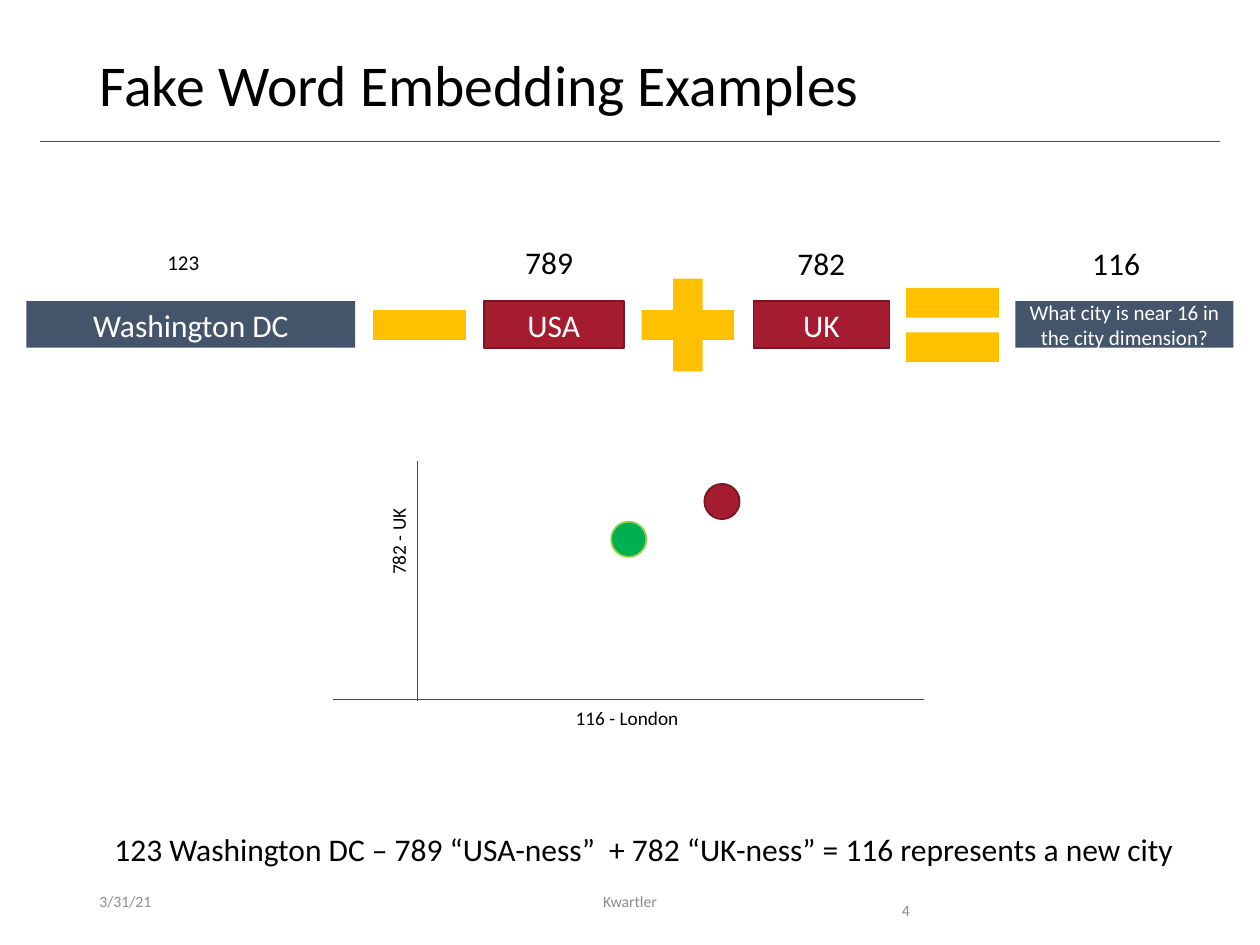
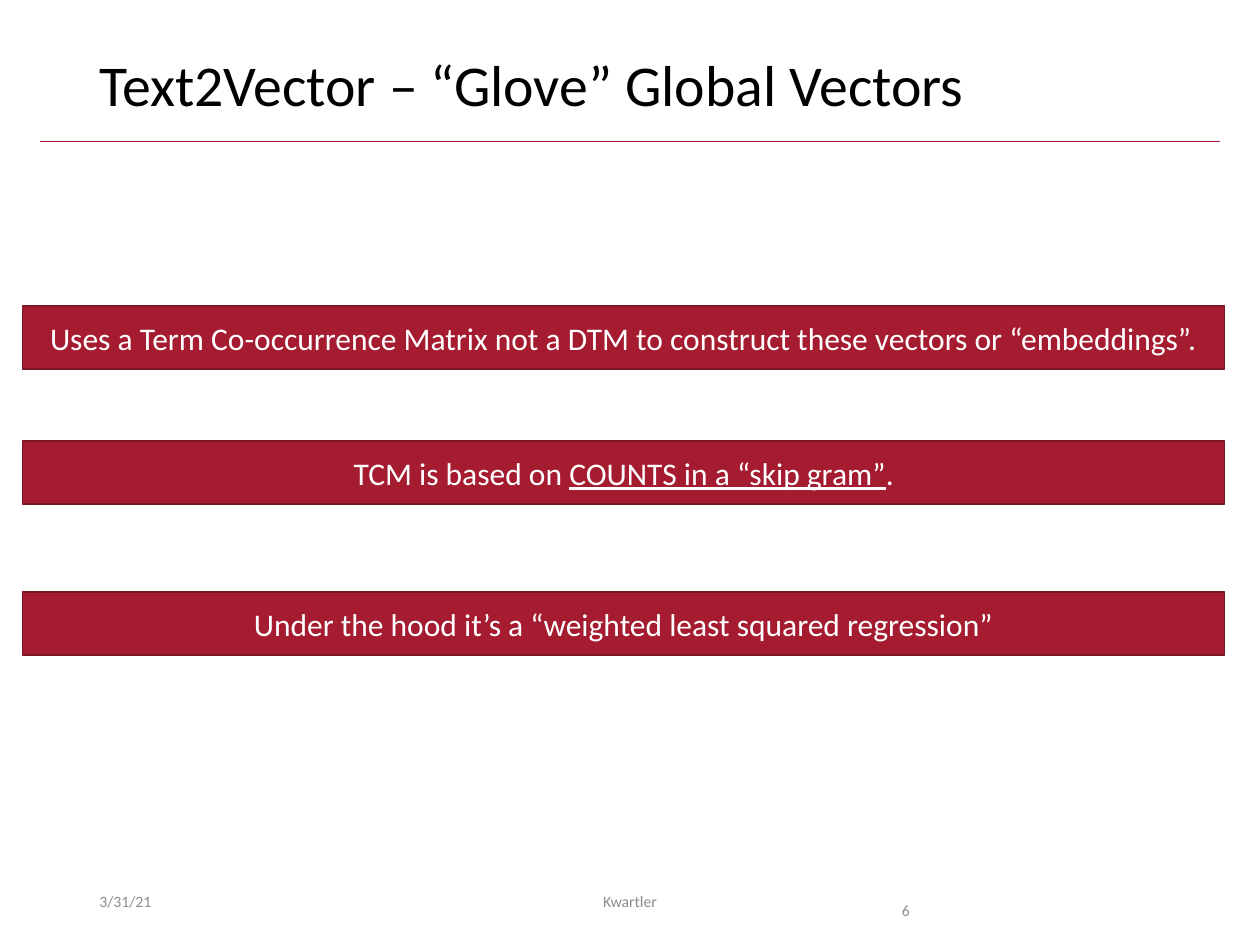
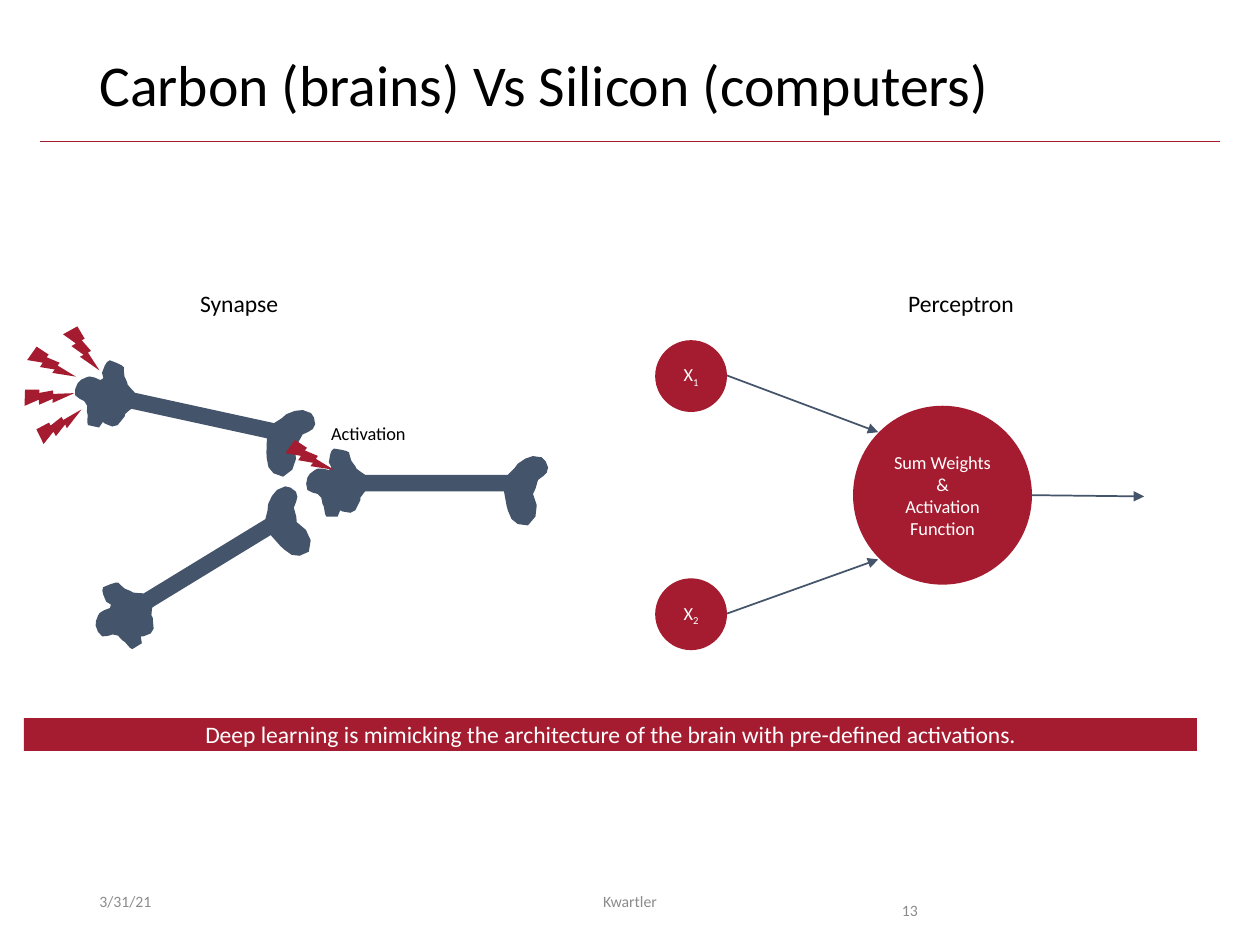
from dataclasses import dataclass
from typing import Any, NamedTuple

from lxml import etree
from pptx import Presentation
from pptx import util as u
from pptx.dml.color import RGBColor
from pptx.enum import shapes, text
from pptx.oxml.ns import qn

# The slide is a grid of 100 columns by 75 rows with square cells.
WIDTH, HEIGHT = u.Inches(10), u.Inches(7.5)
COLS = 100
CELL = WIDTH / COLS
FONT = "Calibri"
HUES = {
    "red": "A51C30", "edge": "7A1524", "slate": "44546A", "gold": "FFC000",
    "green": "00B050", "lime": "92D050", "grey": "8C8C8C",
    "black": "000000", "white": "FFFFFF",
}
KIND = shapes.MSO_SHAPE
MID, TOP = text.MSO_ANCHOR.MIDDLE, text.MSO_ANCHOR.TOP
LEFT, CENTER = text.PP_ALIGN.LEFT, text.PP_ALIGN.CENTER


class Run(NamedTuple):
    text: str
    under: bool = False
    drop: bool = False


@dataclass
class Label:
    x: float
    y: float
    w: float
    h: float
    words: str
    size: float = 18
    hue: str = "black"
    align: Any = LEFT
    anchor: Any = TOP
    space: float = 1
    wrap: bool = False
    turn: float = 0


@dataclass
class Block:
    x: float
    y: float
    w: float
    h: float
    words: str | tuple[Run, ...] = ""
    fill: str = "red"
    edge: str = ""
    size: float = 18
    kind: Any = KIND.RECTANGLE
    turn: float = 0
    pad: tuple[float, float] = (1, 0.5)


@dataclass
class Line:
    x1: float
    y1: float
    x2: float
    y2: float
    hue: str = "red"
    width: float = 0.5
    arrow: bool = False


def cell(*spans: float) -> list[int]:
    return [round(span * CELL) for span in spans]


def color(name: str) -> RGBColor:
    return RGBColor.from_string(HUES[name])


def write(frame, words, size, hue, align, anchor, space=1, wrap=True) -> None:
    """Fill a text frame; words are plain lines or the runs of one line."""
    frame.word_wrap = wrap
    frame.vertical_anchor = anchor
    lines = [[Run(line)] for line in words.split("\n")] if isinstance(words, str) else [words]
    for i, line in enumerate(lines):
        para = frame.add_paragraph() if i else frame.paragraphs[0]
        para.alignment, para.line_spacing = align, space
        for part in line:
            run = para.add_run()
            run.text = part.text
            look = {"name": FONT, "size": u.Pt(size), "underline": part.under or None}
            for key, value in look.items():
                setattr(run.font, key, value)
            run.font.color.rgb = color(hue)
            if part.drop:
                run.font._element.set("baseline", "-25000")


def paint(shape, fill: str, edge: str = "", turn: float = 0) -> None:
    shape.shadow.inherit = False
    shape.rotation = turn
    shape.fill.solid()
    shape.fill.fore_color.rgb = color(fill)
    if edge:
        shape.line.color.rgb = color(edge)
        shape.line.width = u.Pt(1)
    else:
        shape.line.fill.background()


def label(slide, it: Label) -> None:
    box = slide.shapes.add_textbox(*cell(it.x, it.y, it.w, it.h))
    box.rotation = it.turn
    write(box.text_frame, it.words, it.size, it.hue, it.align, it.anchor, it.space, it.wrap)


def block(slide, it: Block) -> None:
    shape = slide.shapes.add_shape(it.kind, *cell(it.x, it.y, it.w, it.h))
    paint(shape, it.fill, it.edge, it.turn)
    if it.words:
        frame = shape.text_frame
        side, rim = cell(*it.pad)
        pads = {"margin_left": side, "margin_right": side, "margin_top": rim, "margin_bottom": rim}
        for key, value in pads.items():
            setattr(frame, key, value)
        write(frame, it.words, it.size, "white", CENTER, MID)


def line(slide, it: Line) -> None:
    link = slide.shapes.add_connector(
        shapes.MSO_CONNECTOR.STRAIGHT, *cell(it.x1, it.y1, it.x2, it.y2))
    link.line.color.rgb = color(it.hue)
    link.line.width = u.Pt(it.width)
    if it.arrow:
        etree.SubElement(link.line._get_or_add_ln(), qn("a:tailEnd"), type="triangle")
    etree.SubElement(link._element.spPr, qn("a:effectLst"))


DRAW = {Label: label, Block: block, Line: line}


def draw(slide, *items: Label | Block | Line) -> None:
    for it in items:
        DRAW[type(it)](slide, it)


def page(deck, title: str, number: int):
    """Add a slide with the shared title, rule and footer."""
    slide = deck.slides.add_slide(deck.slide_layouts[6])
    foot = {"size": 9, "hue": "grey", "wrap": True}
    draw(
        slide,
        Line(3.2, 11.2, 96.8, 11.2),
        Label(6.9, 69.5, 22.5, 4, "3/31/21", anchor=MID, **foot),
        Label(6.9, 4, 86.2, 6.5, title, 33, space=0.9, wrap=True),
        Label(70.6, 69.5, 9.4, 4, str(number), space=2, **foot),
        Label(33.1, 69.5, 33.8, 4, "Kwartler", align=CENTER, anchor=MID, **foot),
    )
    return slide


def words(deck) -> None:
    slide = page(deck, "Fake Word Embedding Examples", 4)
    row = {"y": 23.9, "h": 3.7}
    draw(
        slide,
        Block(x=2.1, w=26.1, words="Washington DC", fill="slate", **row),
        Block(x=38.4, w=11.1, words="USA", edge="edge", **row),
        Block(x=59.8, w=10.8, words="UK", edge="edge", **row),
        Block(x=80.6, w=17.3, words="What city is near 16 in the city dimension?",
              fill="slate", size=12, **row),
    )
    signs = ((28.3, KIND.MATH_MINUS), (49.6, KIND.MATH_PLUS), (70.6, KIND.MATH_EQUAL))
    for x, kind in signs:
        block(slide, Block(x, 20.8, 10, 10, fill="gold", kind=kind))
    label(slide, Label(12.3, 19.3, 4.6, 3, "123", 12))
    for x, y, value in ((85.7, 18.9, "116"), (40.7, 18.8, "789"), (62.3, 18.9, "782")):
        label(slide, Label(x, y, 5.9, 4, value))
    dot = {"w": 2.8, "h": 2.8, "kind": KIND.OVAL}
    draw(
        slide,
        Label(8.1, 65.4, 87, 4, "123 Washington DC – 789 “USA-ness”  + 782 “UK-ness”"
              " = 116 represents a new city"),
        Line(33.1, 36.6, 33.1, 55.6),
        Line(26.4, 55.5, 73.3, 55.5),
        Block(x=55.9, y=38.4, edge="edge", **dot),
        Label(28, 41.5, 7.3, 2.9, "782 - UK", 11, turn=270),
        Block(x=48.5, y=41.4, fill="green", edge="lime", **dot),
        Label(44.7, 55.6, 10.2, 2.9, "116 - London", 11),
    )


def glove(deck) -> None:
    slide = page(deck, "Text2Vector – “Glove” Global Vectors", 6)
    bars = (
        (24.3, "Uses a Term Co-occurrence Matrix not a DTM to construct"
               " these vectors or “embeddings”."),
        (35, (Run("TCM is based on "), Run("COUNTS in a “skip gram”", under=True), Run("."))),
        (47, "Under the hood it’s a “weighted least squared regression”"),
    )
    for y, said in bars:
        block(slide, Block(1.8, y, 95.4, 5, said, edge="edge"))


# Outline of one neuron lying flat, in tenths of a cell.
NERVE = (
    (22, 0), (28, 1), (32, 2), (34, 3), (35, 7), (36, 10), (39, 14), (40, 16),
    (44, 19), (47, 21), (160, 21), (161, 20), (165, 16), (168, 12), (174, 8),
    (180, 6), (187, 7), (190, 10), (192, 15), (191, 19), (188, 22), (184, 25),
    (182, 32), (180, 36), (183, 45), (182, 54), (176, 61), (168, 60), (163, 56),
    (160, 49), (159, 45), (157, 34), (47, 34), (46, 35), (43, 39), (43, 41),
    (41, 45), (39, 49), (35, 51), (29, 50), (27, 49), (25, 54), (23, 54),
    (16, 54), (15, 52), (14, 46), (13, 44), (12, 39), (9, 36), (5, 35), (1, 33),
    (0, 28), (1, 23), (3, 20), (7, 17), (9, 16), (13, 16), (18, 17), (20, 15),
    (18, 11), (19, 5), (20, 2),
)


def nerve(slide, x: float, y: float, turn: float) -> None:
    path = slide.shapes.build_freeform(*NERVE[0], scale=CELL / 10)
    path.add_line_segments(NERVE[1:], close=True)
    paint(path.convert_to_shape(*cell(x, y)), "slate", turn=turn)


def brain(deck) -> None:
    slide = page(deck, "Carbon (brains) Vs Silicon (computers)", 13)
    tight = {"pad": (0.7, 0.4)}
    draw(
        slide,
        Block(1.9, 57, 93.1, 2.6, "Deep learning is mimicking the architecture of the"
              " brain with pre-defined activations.", size=13.5, **tight),
        Label(25.3, 33, 8.1, 2.8, "Activation", 10.5),
    )
    for x, y, turn in ((5.7, 30.1, 12.3), (6.5, 42.3, 328.6), (24.3, 35.6, 0)):
        nerve(slide, x, y, turn)
    bolts = ((2.5, 27.2, 334.1), (5, 25.9, 0), (2.2, 29.8, 300.9),
             (3.2, 32.1, 272.9), (23, 34.6, 334.2))
    for x, y, turn in bolts:
        block(slide, Block(x, y, 2.9, 3.5, kind=KIND.LIGHTNING_BOLT, turn=turn))
    node = {"size": 10.5, "kind": KIND.OVAL, **tight}
    for y, digit in ((27, "1"), (45.9, "2")):
        block(slide, Block(52, y, 5.7, 5.7, (Run("X"), Run(digit, drop=True)), **node))
    arrow = {"hue": "slate", "width": 1, "arrow": True}
    draw(
        slide,
        Label(14.9, 22.4, 8.3, 3.3, "Synapse", 13.5),
        Label(71.1, 22.4, 10.6, 3.3, "Perceptron", 13.5),
        Block(67.7, 32.2, 14.2, 14.2, "Sum Weights\n&\nActivation Function", **node),
        Line(81.9, 39.3, 90.8, 39.4, **arrow),
        Line(57.7, 29.8, 69.7, 34.3, **arrow),
        Line(57.7, 48.7, 69.7, 44.4, **arrow),
    )


def main() -> None:
    deck = Presentation()
    deck.slide_width, deck.slide_height = WIDTH, HEIGHT
    for build in (words, glove, brain):
        build(deck)
    deck.save("out.pptx")


if __name__ == "__main__":
    main()
